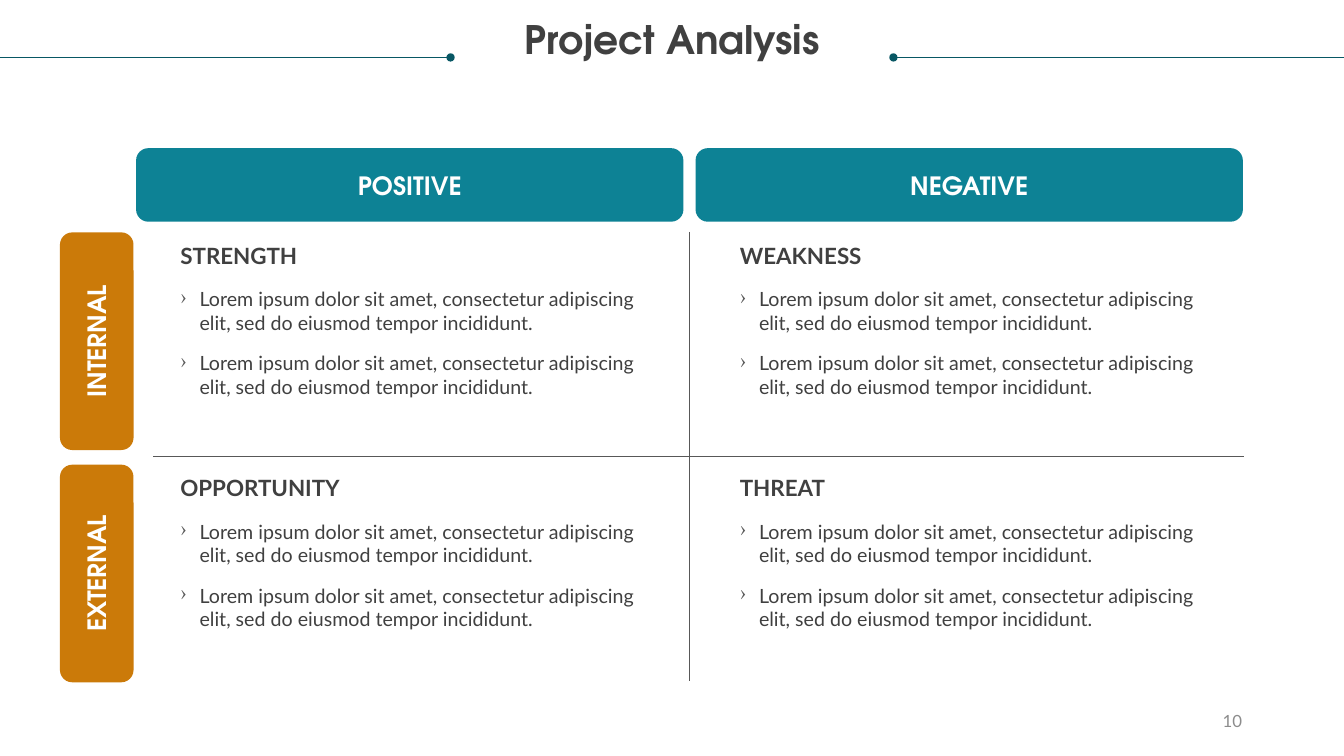
from lxml import etree
from pptx import Presentation, util as u
from pptx.dml.color import RGBColor
from pptx.enum import shapes, text
from pptx.oxml.ns import qn

HEAD, BODY = "TeX Gyre Adventor", "Lato"
TEAL, DARK, AMBER = "0D8295", "085764", "CB7A09"
INK, RULE, GREY, WHITE = "404040", "585858", "8C8C8C", "FFFFFF"
LEFT, MID, RIGHT = text.PP_ALIGN.LEFT, text.PP_ALIGN.CENTER, text.PP_ALIGN.RIGHT
COLS, ROWS = 160, 90


def color(code):
    return RGBColor.from_string(code)


class Deck:
    """Style and current slide; lengths are columns and rows of a 160 x 90 grid."""

    def __init__(self):
        self.prs = Presentation()
        self.prs.slide_width = u.Inches(13.33)
        self.prs.slide_height = u.Inches(7.5)
        self.slide = self.prs.slides.add_slide(self.prs.slide_layouts[5])

    def grid(self, *nums):
        sizes = (self.prs.slide_width / COLS, self.prs.slide_height / ROWS)
        return [round(n * sizes[i % 2]) for i, n in enumerate(nums)]

    def words(self, frame, lines, size, font, ink, bold=False, align=LEFT,
              anchor=text.MSO_ANCHOR.TOP, inset=True):
        frame.word_wrap = True
        frame.vertical_anchor = anchor
        if not inset:
            frame.margin_left = frame.margin_right = 0
            frame.margin_top = frame.margin_bottom = 0
        frame.text = "\n".join(lines)
        for par in frame.paragraphs:
            par.alignment = align
            par.font.size, par.font.name = u.Pt(size), font
            par.font.bold, par.font.color.rgb = bold, color(ink)

    def title(self, name, *area):
        shape = self.slide.shapes.title
        shape.left, shape.top, shape.width, shape.height = self.grid(*area)
        shape.text_frame.auto_size = text.MSO_AUTO_SIZE.NONE
        self.words(shape.text_frame, [name], 28, HEAD, INK, True, MID, inset=False)
        shape.text_frame.paragraphs[0].line_spacing = 0.9

    def label(self, name, fill, *area, turn=0):
        shape = self.slide.shapes.add_shape(
            shapes.MSO_SHAPE.ROUNDED_RECTANGLE, *self.grid(*area))
        shape.rotation = turn
        shape.shadow.inherit = False
        shape.fill.solid()
        shape.fill.fore_color.rgb = color(fill)
        shape.line.fill.background()
        self.words(shape.text_frame, [name], 18, HEAD, WHITE, True, MID,
                   text.MSO_ANCHOR.MIDDLE)

    def line(self, ink, *ends, dot=False):
        line = self.slide.shapes.add_connector(
            shapes.MSO_CONNECTOR.STRAIGHT, *self.grid(*ends))
        line.line.color.rgb, line.line.width = color(ink), u.Pt(0.5)
        props = line._element.spPr
        if dot:
            etree.SubElement(props.find(qn("a:ln")), qn("a:tailEnd"), type="oval")
        etree.SubElement(props, qn("a:effectLst"))

    def text(self, lines, size, *area, **style):
        box = self.slide.shapes.add_textbox(*self.grid(*area))
        self.words(box.text_frame, lines, size, BODY, **style)
        return box.text_frame

    def bullets(self, lines, *area):
        frame = self.text(lines, 14, *area, ink=INK, inset=False)
        dent = u.Inches(0.19)
        for par in frame.paragraphs:
            par.space_before = u.Pt(12)
            props = par._p.get_or_add_pPr()
            props.set("marL", str(dent))
            props.set("indent", str(-dent))
            tint = etree.SubElement(props, qn("a:buClr"))
            etree.SubElement(tint, qn("a:srgbClr"), val=RULE)
            etree.SubElement(props, qn("a:buChar"), char="›")
            # Paragraph font settings come last in the schema order
            props.append(props.find(qn("a:defRPr")))


deck = Deck()

# Title between two dotted rules
deck.title("Project Analysis", 3, 2.5, 154, 8.76)
for edge, tip in ((0, 53.64), (COLS, 106.36)):
    deck.line(DARK, edge, 6.84, tip, 6.84, dot=True)

# Column and row labels
STEP_X, STEP_Y = 66.6, 27.65
for col, name in enumerate(("POSITIVE", "NEGATIVE")):
    deck.label(name, TEAL, 16.2 + col * STEP_X, 17.64, 65.16, 8.76)
for row, name in enumerate(("INTERNAL", "EXTERNAL")):
    deck.label(name, AMBER, -1.44, 36.24 + row * STEP_Y, 25.92, 8.76, turn=270)

# Cross between the quadrants
deck.line(RULE, 18.24, 54.36, 148.08, 54.36)
deck.line(RULE, 82.08, 27.6, 82.08, 81.12)

# Quadrants
LOREM = ("Lorem ipsum dolor sit amet, consectetur adipiscing elit, "
         "sed do eiusmod tempor incididunt.")
for row, names in enumerate((("STRENGTH", "WEAKNESS"), ("OPPORTUNITY", "THREAT"))):
    for col, name in enumerate(names):
        x, y = 21.48 + col * STEP_X, 28.8 + row * STEP_Y
        deck.text([name], 16, x, y, 54.6, 3.24, ink=INK, bold=True, inset=False)
        deck.bullets([LOREM] * 2, x, y + 5.4, 54.6, 13.32)

# Page number
deck.text(["10"], 12, 113.04, 83.4, 36, 4.8, ink=GREY, align=RIGHT,
          anchor=text.MSO_ANCHOR.MIDDLE)

deck.prs.save("out.pptx")
